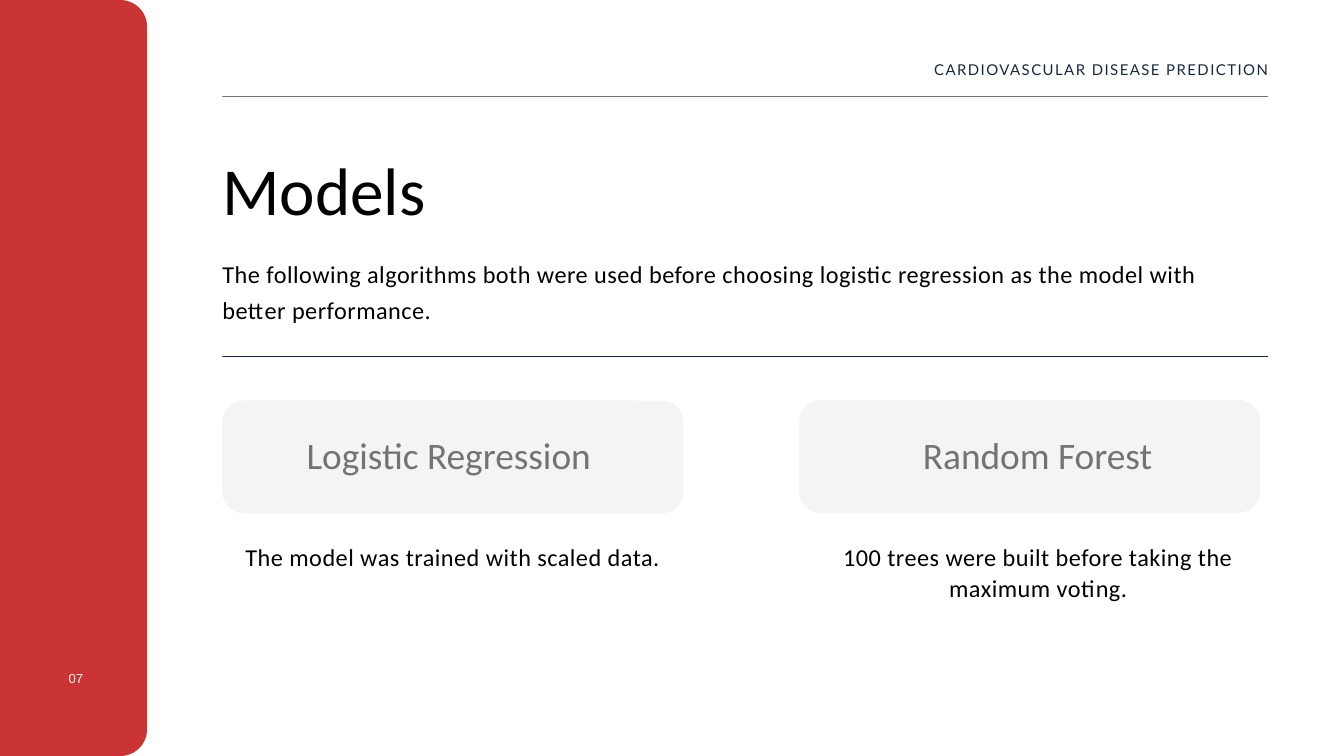
"""Build the slide that compares the two prediction models."""
from pptx import Presentation
from pptx.dml.color import RGBColor
from pptx.enum.shapes import MSO_SHAPE
from pptx.enum.text import MSO_AUTO_SIZE, PP_ALIGN
from pptx.util import Inches, Pt

RED, NAVY, PANEL, GREY = "CB3434", "162942", "F4F4F4", "737373"
BLACK, PALE = "000000", "F8F4F4"
LEFT, CONTENT_WIDTH, PANEL_WIDTH, PANEL_HEIGHT = 3.31, 15.56, 6.86, 1.68


def color(value):
    return RGBColor.from_string(value)


class SlideBuilder:
    def __init__(self, slide, font="Calibri"):
        self.slide = slide
        self.font = font

    def block(self, left, top, width, height, fill, radius=0):
        kind = MSO_SHAPE.ROUNDED_RECTANGLE if radius else MSO_SHAPE.RECTANGLE
        block = self.slide.shapes.add_shape(
            kind, Inches(left), Inches(top), Inches(width), Inches(height))
        if radius:
            block.adjustments[0] = radius / min(width, height)
        block.shadow.inherit = False
        block.fill.solid()
        block.fill.fore_color.rgb = color(fill)
        block.line.fill.background()

    def rule(self, top):
        self.block(LEFT, top, CONTENT_WIDTH, 0.01, NAVY)

    def text(self, words, left, top, width, height, size, leading,
             ink=BLACK, align=PP_ALIGN.LEFT, font=None, tracking=0):
        box = self.slide.shapes.add_textbox(
            Inches(left), Inches(top), Inches(width), Inches(height))
        frame = box.text_frame
        frame.text = words
        frame.word_wrap = True
        frame.auto_size = MSO_AUTO_SIZE.SHAPE_TO_FIT_TEXT
        frame.margin_left = frame.margin_right = 0
        frame.margin_top = frame.margin_bottom = 0
        paragraph = frame.paragraphs[0]
        paragraph.alignment = align
        paragraph.line_spacing = Pt(leading)
        run = paragraph.runs[0]
        run.font.name = font or self.font
        run.font.size = Pt(size)
        run.font.color.rgb = color(ink)
        if tracking:
            run._r.get_or_add_rPr().set("spc", str(round(tracking * 100)))

    def model(self, name, note, panel_left, panel_top, name_box, note_left):
        self.block(panel_left, panel_top, PANEL_WIDTH, PANEL_HEIGHT, PANEL, 0.32)
        name_left, name_width = name_box
        self.text(name, name_left, 6.49, name_width, 0.63, 40, 44, GREY,
                  PP_ALIGN.CENTER)
        self.text(note, note_left, 8.03, PANEL_WIDTH, 0.91, 26, 33.8,
                  align=PP_ALIGN.CENTER, tracking=0.5)


def main():
    deck = Presentation()
    deck.slide_width, deck.slide_height = Inches(20), Inches(11.25)
    page = SlideBuilder(deck.slides.add_slide(deck.slide_layouts[6]))

    page.block(-1.39, 0, 3.58, 11.25, RED, 0.4)
    page.text("07", 0.72, 9.97, 0.82, 0.22, 14, 16.8, PALE,
              PP_ALIGN.CENTER, "Arial")
    page.text("CARDIOVASCULAR DISEASE PREDICTION", 13.31, 0.85, 5.57, 0.28,
              16, 22.4, NAVY, PP_ALIGN.RIGHT, "Lato", 1.6)
    for top in (1.43, 5.3):
        page.rule(top)

    page.text("Models", LEFT, 2.3, 5.24, 1.11, 72, 79.2)
    page.text("The following algorithms both were used before choosing logistic "
              "regression as the model with better performance.",
              LEFT, 3.75, 15.43, 1.05, 26, 39, tracking=0.5)

    page.model("Logistic Regression ", "The model was trained with scaled data.",
               LEFT, 5.96, (3.78, 5.92), LEFT)
    page.model("Random Forest",
               "100 trees were built before taking the maximum voting.",
               11.89, 5.95, (12.85, 5.18), 12.02)

    deck.save("out.pptx")


if __name__ == "__main__":
    main()
